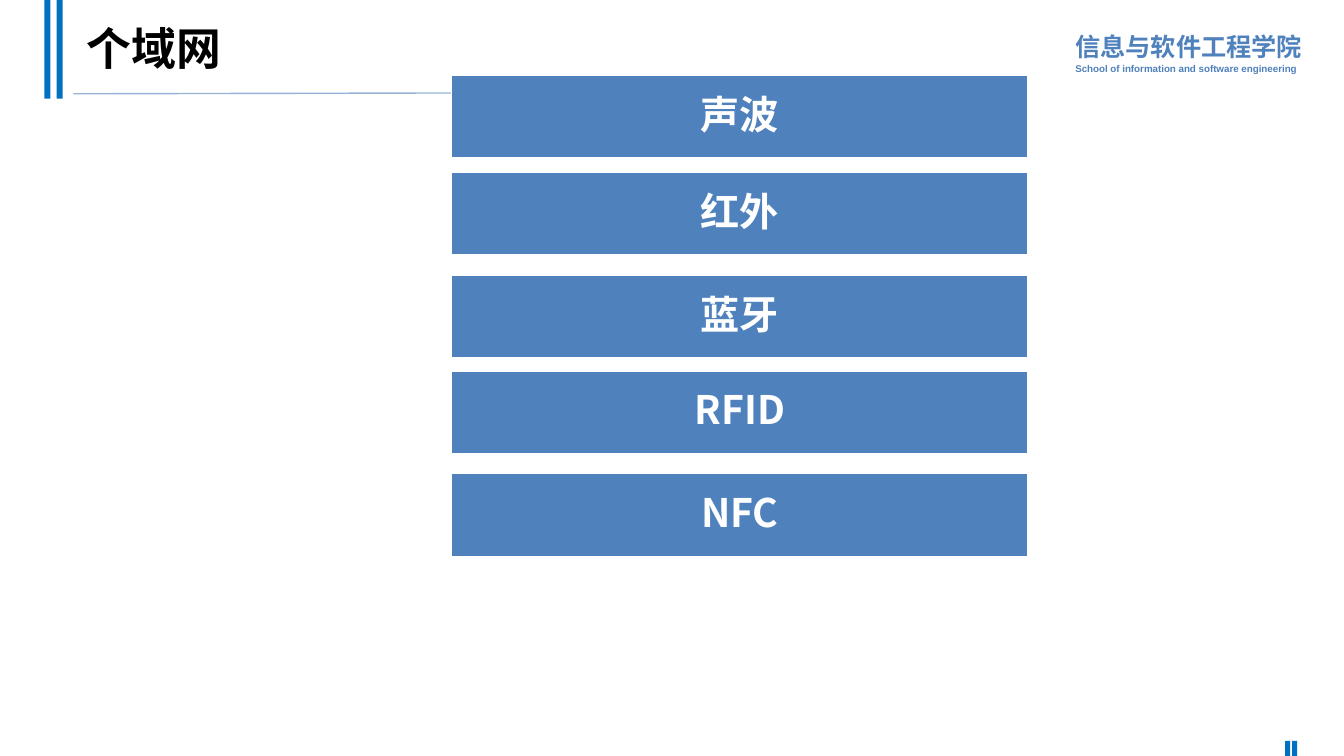
from lxml.etree import SubElement
from pptx import Presentation
from pptx.dml.color import RGBColor
from pptx.enum.shapes import MSO_CONNECTOR, MSO_SHAPE
from pptx.enum.text import MSO_ANCHOR, PP_ALIGN
from pptx.oxml.ns import qn
from pptx.util import Pt

CHINESE_FONT = "Noto Sans CJK SC"
TECHNOLOGIES = [("声波", 54), ("红外", 123.12), ("蓝牙", 196.56), ("RFID", 264.96), ("NFC", 338.4)]


def color(value):
    """Return the colour for a hex string."""
    return RGBColor.from_string(value)


def style_paragraph(paragraph, text, size, hex_color, font_name, line_spacing):
    """Fill a paragraph with bold text in one style."""
    paragraph.text = text
    paragraph.line_spacing = line_spacing
    font = paragraph.font
    font.size, font.bold, font.name = Pt(size), True, font_name
    font.color.rgb = color(hex_color)
    properties = paragraph._p.pPr.find(qn("a:defRPr"))
    SubElement(properties, qn("a:ea")).set("typeface", CHINESE_FONT)


def add_rectangle(slide, left, top, width, height, fill):
    """Add a plain filled rectangle without an outline."""
    shape = slide.shapes.add_shape(MSO_SHAPE.RECTANGLE, Pt(left), Pt(top), Pt(width), Pt(height))
    shape.shadow.inherit = False
    shape.fill.solid()
    shape.fill.fore_color.rgb = color(fill)
    shape.line.fill.background()
    return shape


def add_stripe_pair(slide, left, top, width, height, stripe_width):
    """Add two upright stripes at the sides of the box."""
    for stripe_left in (left, left + width - stripe_width):
        add_rectangle(slide, stripe_left, top, stripe_width, height, "0070C0")


def add_school_name(slide, left, top, width, height):
    """Add the school's name in two languages."""
    frame = slide.shapes.add_textbox(Pt(left), Pt(top), Pt(width), Pt(height)).text_frame
    frame.word_wrap = True
    style_paragraph(frame.paragraphs[0], "信息与软件工程学院", 18, "4F81BD", "Arial", 1.1)
    style_paragraph(frame.add_paragraph(), "School of information and software engineering",
                    7, "4F81BD", "Arial", 1.1)


def add_title(slide, left, top, width, height):
    """Add the title with the thin rule beneath it."""
    rule = slide.shapes.add_connector(MSO_CONNECTOR.STRAIGHT, Pt(left - 2.2), Pt(top + 62),
                                      Pt(left + 374.4), Pt(top + 61.2))
    rule.line.color.rgb = color("95B3D7")
    rule.line.width = Pt(1)
    SubElement(rule._element.spPr, qn("a:effectLst"))
    frame = slide.shapes.add_textbox(Pt(left), Pt(top), Pt(width), Pt(height)).text_frame
    frame.word_wrap = True
    frame.vertical_anchor = MSO_ANCHOR.MIDDLE
    style_paragraph(frame.paragraphs[0], "个域网", 32, "000000", "Arial", 0.9)


def add_technology_bar(slide, left, top, width, height, text):
    """Add one labelled bar."""
    bar = add_rectangle(slide, left, top, width, height, "4F81BD")
    bar.line.color.rgb = color("FFFFFF")
    bar.line.width = Pt(1)
    frame = bar.text_frame
    frame.word_wrap = True
    frame.vertical_anchor = MSO_ANCHOR.MIDDLE
    frame.margin_left = frame.margin_right = frame.margin_top = frame.margin_bottom = Pt(6)
    paragraph = frame.paragraphs[0]
    paragraph.alignment = PP_ALIGN.CENTER
    paragraph.space_after = Pt(9.8)
    style_paragraph(paragraph, text, 28, "FFFFFF", CHINESE_FONT, 0.9)


def main():
    """Build and save the slide."""
    presentation = Presentation()
    presentation.slide_width, presentation.slide_height = Pt(960), Pt(540)
    slide = presentation.slides.add_slide(presentation.slide_layouts[6])
    add_school_name(slide, 761, 16.6, 176.4, 40.3)
    add_stripe_pair(slide, 31.8, 0, 13, 70.5, 4.3)
    add_stripe_pair(slide, 918, 529.2, 8.6, 10.8, 3.6)
    add_title(slide, 54.7, 5, 828, 63.4)
    for text, top in TECHNOLOGIES:
        add_technology_bar(slide, 322.6, top, 411.8, 59, text)
    presentation.save("out.pptx")


if __name__ == "__main__":
    main()
